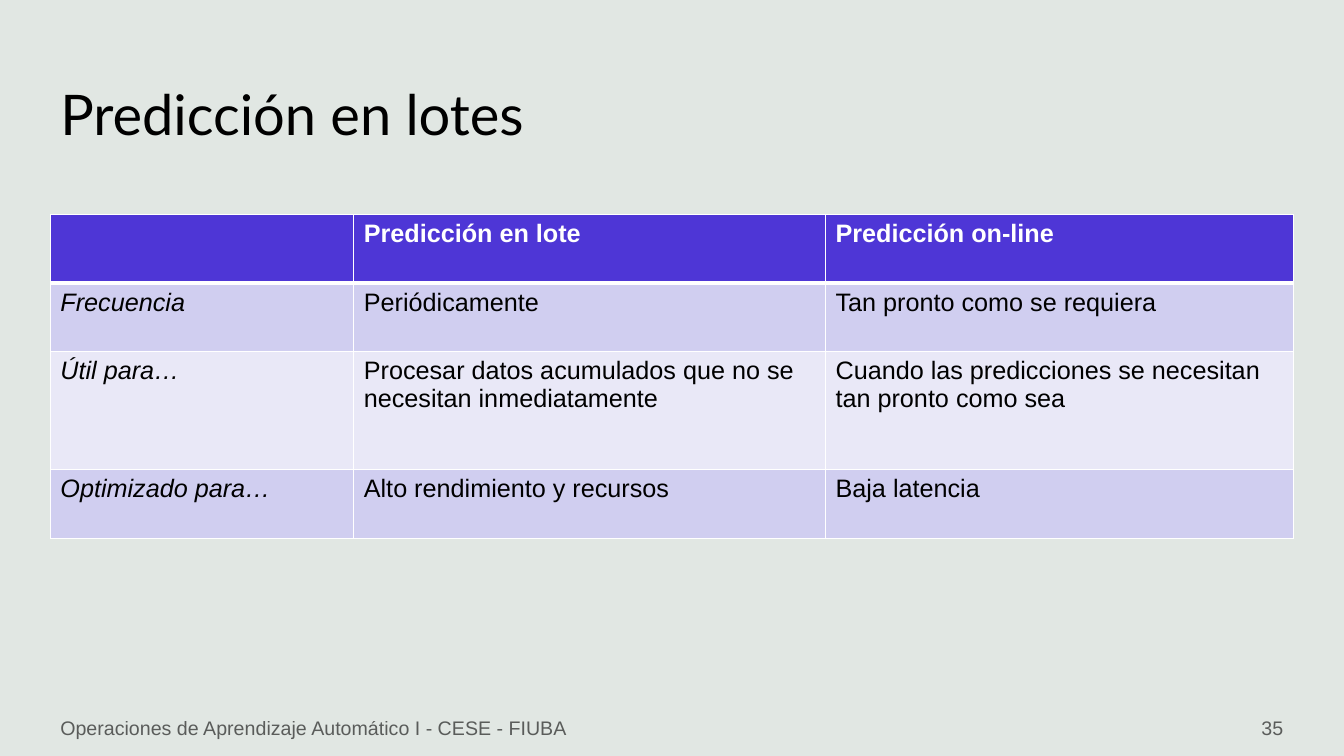
from lxml import etree
from pptx import Presentation
from pptx.dml.color import RGBColor
from pptx.enum import shapes, text
from pptx.oxml import ns
from pptx.util import Pt

WIDE, HIGH = 960, 540
LEFT = 36
COLS = [216.72, 336.96, 334.08]
ROWS = [48.96, 48.96, 84.24, 48.96]
HEAD, BANDS = "4E36D6", ["D0CEF0", "E9E8F7"]
CELLS = [
    ["", "Predicción en lote", "Predicción on-line"],
    ["Frecuencia", "Periódicamente", "Tan pronto como se requiera"],
    ["Útil para…", "Procesar datos acumulados que no se necesitan inmediatamente",
     "Cuando las predicciones se necesitan tan pronto como sea"],
    ["Optimizado para…", "Alto rendimiento y recursos", "Baja latencia"],
]


def paint(fill, tone):
    fill.solid()
    fill.fore_color.rgb = RGBColor.from_string(tone)


def fade(node, share):
    for tint in node.iter(ns.qn("a:srgbClr")):
        etree.SubElement(tint, ns.qn("a:alpha"), val=str(share * 1000))


def write(par, words, size, tone="000000", face="Arial", bold=False, slant=False):
    run = par.add_run()
    run.text = words
    font = run.font
    font.name, font.size, font.bold, font.italic = face, Pt(size), bold, slant
    paint(font.fill, tone)
    return run


def add_back(slide):
    back = slide.shapes.add_shape(shapes.MSO_SHAPE.RECTANGLE, 0, 0, Pt(WIDE), Pt(HIGH))
    back.shadow.inherit = False
    paint(back.fill, "D5DED8")
    fade(back.fill._xPr, 70)
    back.line.fill.background()


def add_text(slide, spot, words, size, side=text.PP_ALIGN.LEFT, face="Arial", share=100):
    box = slide.shapes.add_textbox(*map(Pt, spot))
    frame = box.text_frame
    frame.word_wrap = True
    frame.vertical_anchor = text.MSO_ANCHOR.MIDDLE
    par = frame.paragraphs[0]
    par.alignment = side
    run = write(par, words, size, face=face)
    if share < 100:
        fade(run._r, share)


def edge(cell, row):
    props = cell._tc.get_or_add_tcPr()
    thick = {"T": 3 if row == 1 else 1, "B": 3 if row == 0 else 1}
    for side in "LRTB":
        width = Pt(thick.get(side, 1))
        line = etree.SubElement(props, ns.qn("a:ln" + side), w=str(width))
        fill = etree.SubElement(line, ns.qn("a:solidFill"))
        etree.SubElement(fill, ns.qn("a:srgbClr"), val="FFFFFF")


def add_grid(slide):
    spot = LEFT, 153.36, sum(COLS), sum(ROWS)
    grid = slide.shapes.add_table(len(ROWS), len(COLS), *map(Pt, spot)).table
    for col, width in zip(grid.columns, COLS):
        col.width = Pt(width)
    for row, height in zip(grid.rows, ROWS):
        row.height = Pt(height)
    for i, line in enumerate(CELLS):
        for j, words in enumerate(line):
            cell = grid.cell(i, j)
            edge(cell, i)
            paint(cell.fill, BANDS[(i - 1) % 2] if i else HEAD)
            if words:
                write(cell.text_frame.paragraphs[0], words, 18,
                      "000000" if i else "FFFFFF", bold=i == 0, slant=j == 0)


def main():
    deck = Presentation()
    deck.slide_width, deck.slide_height = Pt(WIDE), Pt(HIGH)
    slide = deck.slides.add_slide(deck.slide_layouts[6])
    add_back(slide)
    add_text(slide, (LEFT, 28.8, 858.24, 104.4), "Predicción en lotes", 40, face="Lato")
    add_grid(slide)
    add_text(slide, (LEFT, 505.44, 432, 28.8),
             "Operaciones de Aprendizaje Automático I - CESE - FIUBA", 14, share=60)
    add_text(slide, (707.76, 505.44, 216, 28.8), "35", 14, text.PP_ALIGN.RIGHT, share=60)
    deck.save("out.pptx")


if __name__ == "__main__":
    main()
